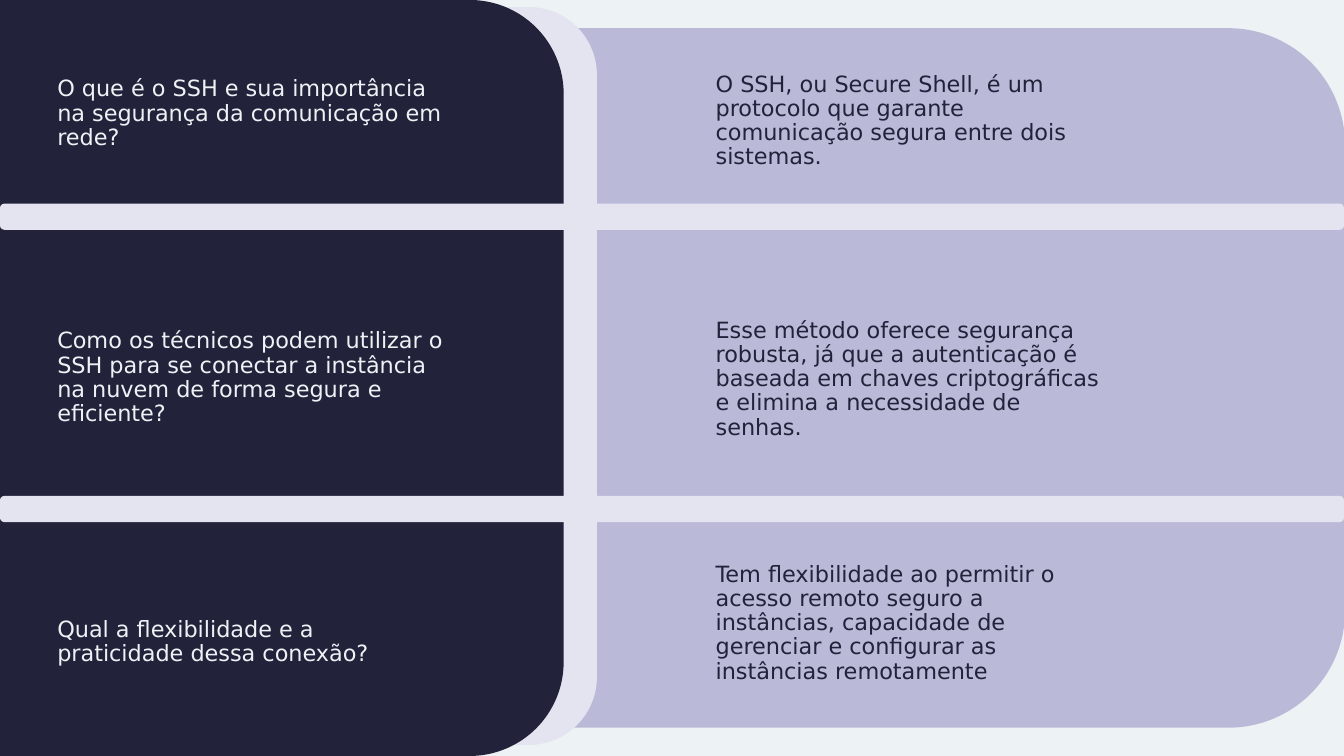
from pptx import Presentation
from pptx.dml.color import RGBColor
from pptx.enum.shapes import MSO_SHAPE as Shape
from pptx.enum.text import MSO_ANCHOR as Anchor
from pptx.util import Inches, Pt

MIST, LILAC, PALE, NAVY = "EDF2F4", "BABAD8", "E4E4F0", "22223B"
FONT = "DejaVu Sans"
SLIDE_W, SLIDE_H = 13.33, 7.5
TEXT_W = 4.04

PANELS = [
    (4.15, 0.28, 9.19, 6.94, LILAC),
    (1.88, 0.07, 4.04, 7.32, PALE),
    (0, 0, 5.59, 7.5, NAVY),
]
BAND_TOPS = [2.02, 4.92]
BAND_H = 0.26

QUESTIONS = [
    (0.66, 0.94, "O que é o SSH e sua importância na segurança da comunicação em rede?"),
    (3.28, 0.94, "Como os técnicos podem utilizar o SSH para se conectar a instância "
                 "na nuvem de forma segura e eficiente?"),
    (5.9, 0.94, "Qual a flexibilidade e a praticidade dessa conexão?"),
]
ANSWERS = [
    (0.66, 1.09, "O SSH, ou Secure Shell, é um protocolo que garante comunicação "
                 "segura entre dois sistemas."),
    (3.13, 1.27, "Esse método oferece segurança robusta, já que a autenticação é baseada "
                 "em chaves criptográficas e elimina a necessidade de senhas."),
    (5.58, 1.21, "Tem flexibilidade ao permitir o acesso remoto seguro a instâncias, "
                 "capacidade de gerenciar e configurar as instâncias remotamente"),
]
COLUMNS = [(0.47, MIST, QUESTIONS), (7, NAVY, ANSWERS)]


def paint(fill, color):
    fill.solid()
    fill.fore_color.rgb = RGBColor.from_string(color)


def add_block(slide, kind, left, top, width, height, color):
    block = slide.shapes.add_shape(kind, *map(Inches, (left, top, width, height)))
    block.shadow.inherit = False
    paint(block.fill, color)
    block.line.fill.background()
    return block


def add_panel(slide, left, top, width, height, color):
    shift = (width - height) / 2
    panel = add_block(slide, Shape.ROUND_2_SAME_RECTANGLE,
                      left + shift, top - shift, height, width, color)
    panel.rotation = 90


def add_text(slide, left, top, height, text, color):
    frame = slide.shapes.add_textbox(*map(Inches, (left, top, TEXT_W, height))).text_frame
    frame.word_wrap = True
    frame.vertical_anchor = Anchor.MIDDLE
    frame.text = text
    paragraph = frame.paragraphs[0]
    paragraph.line_spacing = 0.9
    font = paragraph.runs[0].font
    font.name, font.size = FONT, Pt(16)
    paint(font.fill, color)


def main():
    deck = Presentation()
    deck.slide_width, deck.slide_height = Inches(SLIDE_W), Inches(SLIDE_H)
    slide = deck.slides.add_slide(deck.slide_layouts[6])
    paint(slide.background.fill, MIST)
    for panel in PANELS:
        add_panel(slide, *panel)
    for top in BAND_TOPS:
        add_block(slide, Shape.FLOWCHART_ALTERNATE_PROCESS, 0, top, SLIDE_W, BAND_H, PALE)
    for left, color, entries in COLUMNS:
        for top, height, text in entries:
            add_text(slide, left, top, height, text, color)
    deck.save("out.pptx")


if __name__ == "__main__":
    main()
